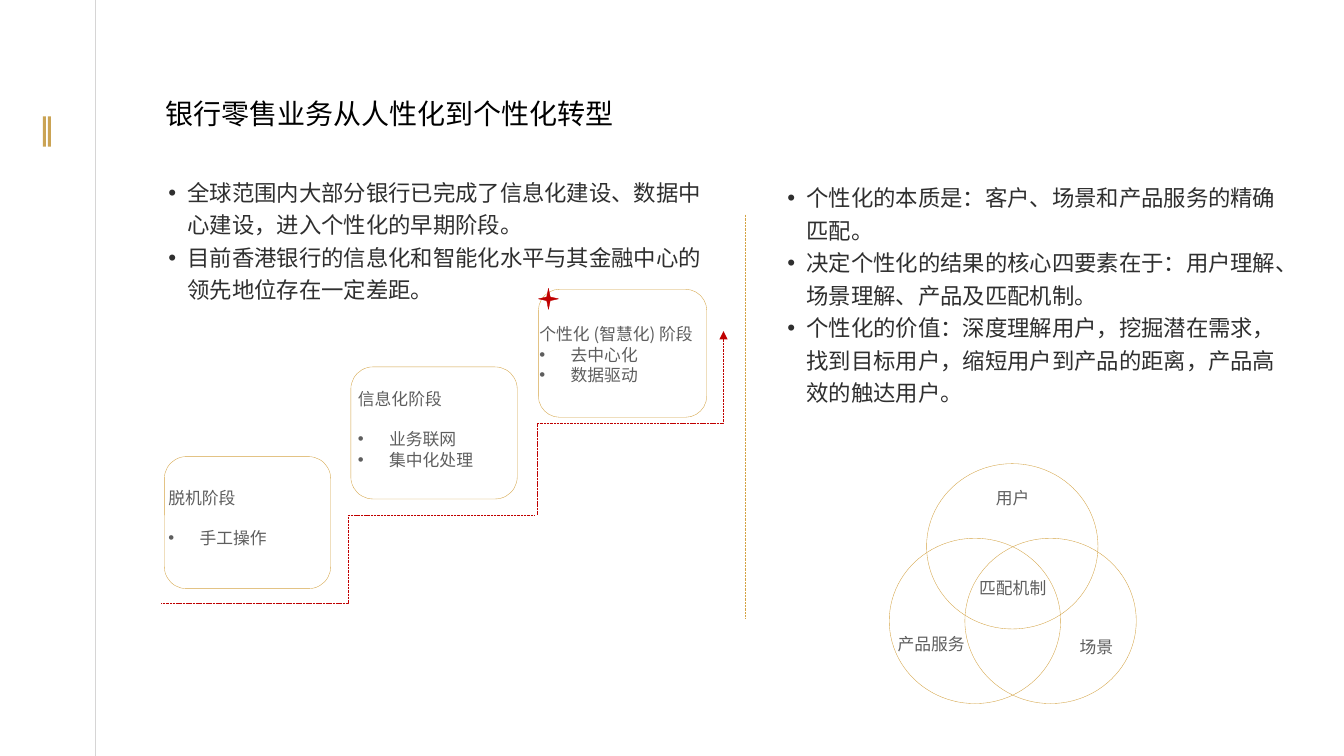
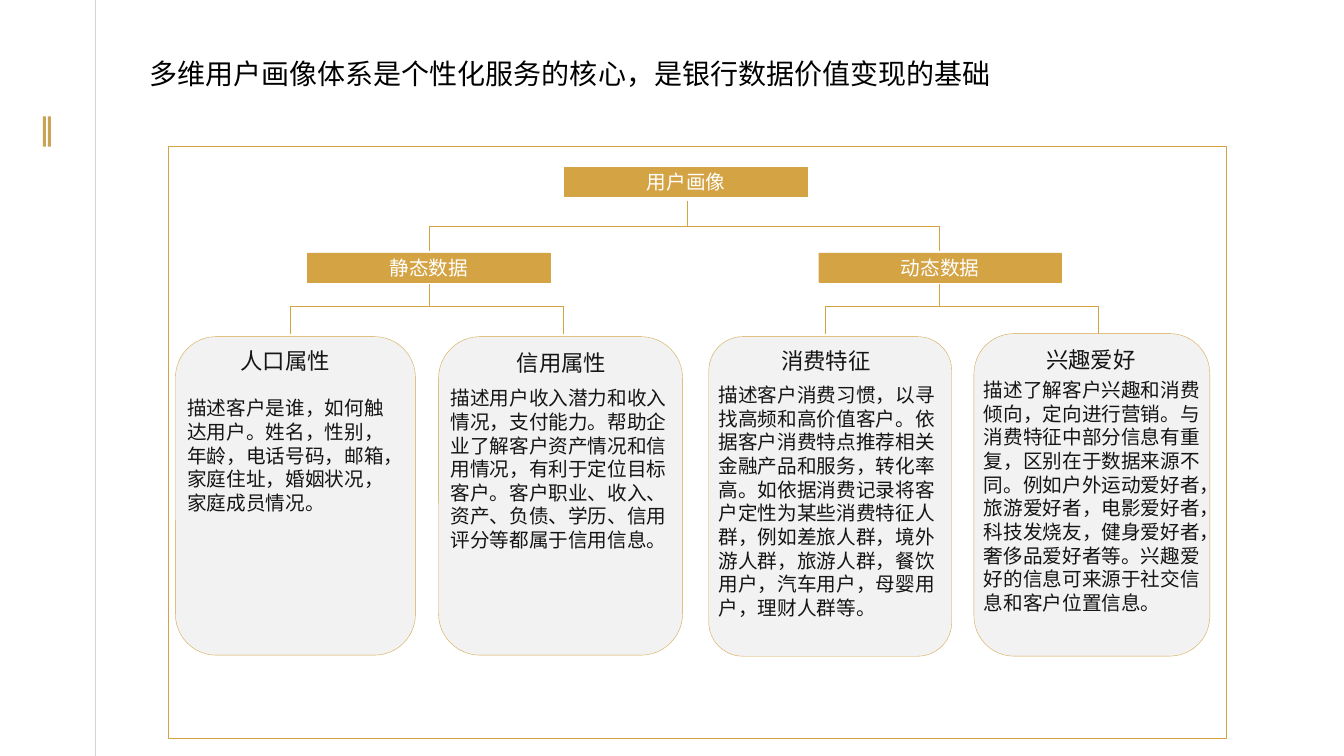
"""Two slides on personal service in retail banking."""
from lxml.etree import SubElement
from pptx import Presentation
from pptx.dml.color import RGBColor as Rgb
from pptx.enum.dml import MSO_LINE_DASH_STYLE as Dash
from pptx.enum.shapes import MSO_CONNECTOR as Link, MSO_SHAPE as Kind
from pptx.enum.text import MSO_ANCHOR as Anchor, PP_ALIGN as Align
from pptx.oxml.ns import qn
from pptx.util import Inches, Pt

HUES = {"gold": "D4A344", "bar": "CAA354", "rule": "D6D5D5", "red": "C00000",
        "black": "000000", "dark": "2F2F2F", "grey": "5E5E5E",
        "ink": "161515", "pale": "F2F2F2", "white": "FFFFFF"}
SANS = "Noto Sans CJK SC"

TITLES = [
    ("银行零售业务从人性化到个性化转型", (1.59, 0.92, 4.55, 0.4)),
    ("多维用户画像体系是个性化服务的核心，是银行数据价值变现的基础",
     (1.42, 0.53, 8.47, 0.4)),
]
POINTS = [
    ((1.64, 1.69, 5.53, 1.35), [
        "全球范围内大部分银行已完成了信息化建设、数据中心建设，进入个性化的早期阶段。",
        "目前香港银行的信息化和智能化水平与其金融中心的领先地位存在一定差距。"]),
    ((7.78, 1.74, 5.06, 2.32), [
        "个性化的本质是：客户、场景和产品服务的精确匹配。",
        "决定个性化的结果的核心四要素在于：用户理解、场景理解、产品及匹配机制。",
        "个性化的价值：深度理解用户，挖掘潜在需求，找到目标用户，缩短用户到产品的距离，"
        "产品高效的触达用户。"]),
]
STAGES = [
    ((1.63, 4.53, 1.65, 1.31), (1.64, 4.8, 1.67, 0.67), 14.5,
     ["脱机阶段", "手工操作"]),
    ((3.48, 3.64, 1.65, 1.31), (3.52, 3.82, 1.67, 0.87), 14.5,
     ["信息化阶段", "业务联网", "集中化处理"]),
    ((5.34, 2.87, 1.67, 1.27), (5.32, 3.18, 1.72, 0.67), 0,
     ["个性化 (智慧化) 阶段", "去中心化", "数据驱动"]),
]
RINGS = [(9.19, 4.6), (8.82, 5.34), (9.57, 5.34)]
TAGS = [("用户", 9.68, 4.81), ("产品服务", 8.87, 6.26),
        ("场景", 10.51, 6.29), ("匹配机制", 9.68, 5.7)]
NODES = [("用户画像", 5.6, 1.66), ("静态数据", 3.05, 2.51), ("动态数据", 8.12, 2.51)]
FORKS = [(6.82, 1.99, 2.24, (4.26, 9.32), 2.49),
         (4.26, 2.82, 3.04, (2.88, 5.59), 3.31),
         (9.32, 2.82, 3.04, (8.18, 10.89), 3.31)]
CARDS = [
    ("人口属性", (1.74, 3.34, 2.38, 3.16), (2.28, 3.39), (1.76, 3.88, 2.26, 1.28),
     "描述客户是谁，如何触达用户。姓名，性别，年龄，电话号码，邮箱，家庭住址，婚姻状况，"
     "家庭成员情况。"),
    ("信用属性", (4.35, 3.34, 2.42, 3.16), (5.02, 3.41), (4.37, 3.78, 2.43, 1.75),
     "描述用户收入潜力和收入情况，支付能力。帮助企业了解客户资产情况和信用情况，"
     "有利于定位目标客户。客户职业、收入、资产、负债、学历、信用评分等都属于信用信息。"),
    ("消费特征", (7.03, 3.34, 2.41, 3.17), (7.64, 3.39), (7.03, 3.75, 2.41, 2.46),
     "描述客户消费习惯，以寻找高频和高价值客户。依据客户消费特点推荐相关金融产品和服务，"
     "转化率高。如依据消费记录将客户定性为某些消费特征人群，例如差旅人群，境外游人群，"
     "旅游人群，餐饮用户，汽车用户，母婴用户，理财人群等。"),
    ("兴趣爱好", (9.66, 3.31, 2.34, 3.2), (10.27, 3.38), (9.66, 3.7, 2.47, 2.69),
     "描述了解客户兴趣和消费倾向，定向进行营销。与消费特征中部分信息有重复，"
     "区别在于数据来源不同。例如户外运动爱好者，旅游爱好者，电影爱好者，科技发烧友，"
     "健身爱好者，奢侈品爱好者等。兴趣爱好的信息可来源于社交信息和客户位置信息。"),
]


def hue(name):
    return Rgb.from_string(HUES[name])


def bullet(para, dent):
    props = para._p.get_or_add_pPr()
    props.set("marL", str(Inches(dent)))
    props.set("indent", str(-Inches(dent)))
    SubElement(props, qn("a:buFont"), typeface="Arial")
    SubElement(props, qn("a:buChar"), char="•")


def write(shape, lines, size=12, font=SANS, color="grey", align=Align.LEFT,
          anchor=Anchor.MIDDLE, pad=(0.03, 0.03), wrap=True, lead=1,
          dent=0.0, first=0, gap=0):
    """Fill a shape with text; lines from index first on get bullets."""
    frame = shape.text_frame
    frame.word_wrap, frame.vertical_anchor = wrap, anchor
    frame.margin_left = frame.margin_right = Inches(pad[0])
    frame.margin_top = frame.margin_bottom = Inches(pad[1])
    for i, line in enumerate(lines):
        para = frame.add_paragraph() if i else frame.paragraphs[0]
        para.alignment = align
        para.line_spacing = Pt(round(size * 1.21 * lead, 1))
        if i == 1 and gap:
            para.space_before = Pt(gap)
        if dent and i >= first:
            bullet(para, dent)
        run = para.add_run()
        run.text = line
        run.font.size, run.font.name = Pt(size), font
        run.font.color.rgb = hue(color)
        SubElement(run._r.get_or_add_rPr(), qn("a:ea"), typeface=SANS)


def label(slide, at, lines, **look):
    write(slide.shapes.add_textbox(*map(Inches, at)), lines, **look)


def shape(slide, kind, at, fill=None, line="gold"):
    item = slide.shapes.add_shape(kind, *map(Inches, at))
    item.shadow.inherit = False
    if fill:
        item.fill.solid()
        item.fill.fore_color.rgb = hue(fill)
    else:
        item.fill.background()
    if line:
        item.line.color.rgb = hue(line)
        item.line.width = Pt(0.25)
    else:
        item.line.fill.background()
    return item


def link(slide, start, end, color="gold", width=0.25, dash=False,
         kind=Link.STRAIGHT, turn=0, arrow=False):
    item = slide.shapes.add_connector(kind, *map(Inches, start + end))
    item.line.color.rgb = hue(color)
    item.line.width = Pt(width)
    if dash:
        item.line.dash_style = Dash.SQUARE_DOT
    props = item._element.spPr
    if turn:
        props.find(qn("a:xfrm")).set("rot", str(turn * 60000))
    if arrow:
        SubElement(props.find(qn("a:ln")), qn("a:tailEnd"), type="triangle")
    SubElement(props, qn("a:effectLst"))


def page(deck, title, at):
    slide = deck.slides.add_slide(deck.slide_layouts[6])
    link(slide, (0.95, 7.5), (0.95, 0), "rule", 0.75)
    for left in (0.29, 0.34):
        shape(slide, Kind.RECTANGLE, (left, 1.29, 0.3, 0.03), "bar", None).rotation = 90
    label(slide, at, [title], size=20, color="black", align=Align.CENTER, wrap=False)
    return slide


def steps(slide):
    for box, area, gap, lines in STAGES:
        shape(slide, Kind.ROUNDED_RECTANGLE, box)
        label(slide, area, lines, dent=0.31, first=1, gap=gap)
    stair = dict(color="red", dash=True, kind=Link.ELBOW)
    link(slide, (1.6, 5.98), (5.3, 5.11), **stair)
    link(slide, (7.16, 5.12), (5.34, 3.27), turn=90, arrow=True, **stair)
    shape(slide, Kind.STAR_4_POINT, (5.34, 2.86, 0.2, 0.21), "red", "red")
    for area, lines in POINTS:
        label(slide, area, lines, size=16, color="dark", lead=1.2, dent=0.19)
    link(slide, (7.39, 2.13), (7.39, 6.14), dash=True)
    for spot in RINGS:
        shape(slide, Kind.OVAL, spot + (1.7, 1.64))
    for text, left, top in TAGS:
        label(slide, (left, top, 0.73, 0.26), [text], font="Arial", align=Align.CENTER)


def tree(slide):
    shape(slide, Kind.RECTANGLE, (1.67, 1.45, 10.49, 5.87))
    for text, left, top in NODES:
        node = shape(slide, Kind.RECTANGLE, (left, top, 2.41, 0.29), "gold")
        write(node, [text], size=14, font="Arial", color="white", align=Align.CENTER)
    for stem, top, rail, kids, foot in FORKS:
        link(slide, (stem, top), (stem, rail))
        link(slide, (kids[0], rail), (kids[1], rail))
        for kid in kids:
            link(slide, (kid, rail), (kid, foot))
    look = dict(font="Montserrat", color="ink", anchor=Anchor.TOP, pad=(0.1, 0.05))
    for head, box, spot, area, body in CARDS:
        shape(slide, Kind.ROUNDED_RECTANGLE, box, "pale").adjustments[0] = (
            0.14 if head == "消费特征" else 0.17)
        label(slide, spot + (1.1, 0.37), [head], size=16, align=Align.CENTER,
              wrap=False, **look)
        label(slide, area, [body], size=14, **look)


def main():
    deck = Presentation()
    deck.slide_width, deck.slide_height = Inches(13.33), Inches(7.5)
    for (title, at), draw in zip(TITLES, (steps, tree)):
        draw(page(deck, title, at))
    deck.save("out.pptx")


if __name__ == "__main__":
    main()
